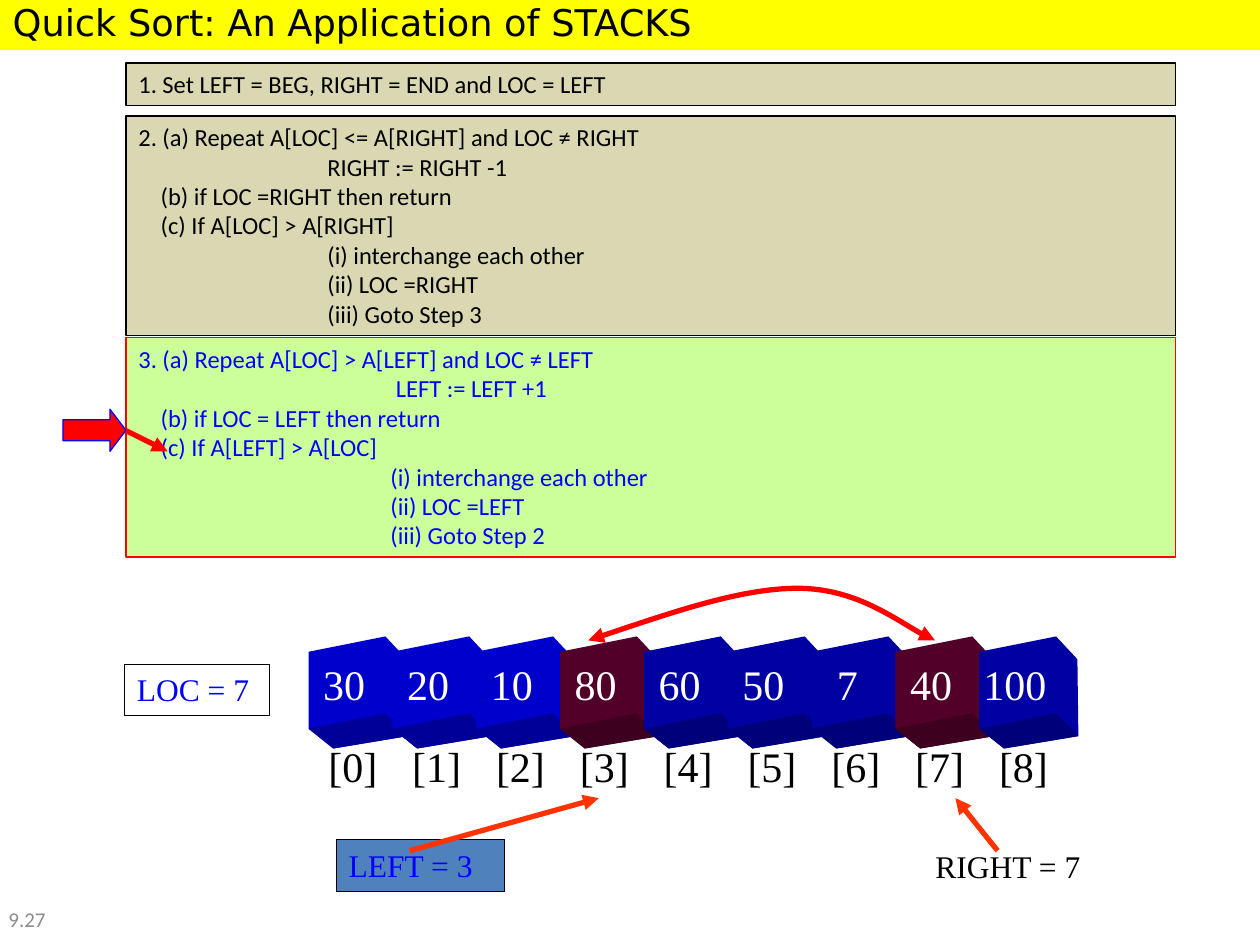
import lxml.etree
import pptx
import pptx.dml.color
import pptx.enum.shapes
import pptx.enum.text
import pptx.oxml.ns
import pptx.util

Cm = pptx.util.Cm
Pt = pptx.util.Pt
Shape = pptx.enum.shapes.MSO_SHAPE
Align = pptx.enum.text.PP_ALIGN
Anchor = pptx.enum.text.MSO_ANCHOR
qn = pptx.oxml.ns.qn

COLORS = {
    "black": "000000", "white": "FFFFFF", "gray": "8C8C8C", "yellow": "FFFF00",
    "sand": "D9D8B2", "lime": "CCFF99", "red": "FF0000", "orange": "FF3300",
    "blue": "0000FF", "steel": "4F81BD",
    "bright": "0000CC", "bright under": "000099",
    "navy": "0000A3", "navy under": "00007A",
    "maroon": "520029", "maroon under": "3D001F",
}
BODY, TITLE, SERIF = "Calibri", "DejaVu Sans", "Times New Roman"

# Step lines as (indent in cm, text)
STEP_1 = [(0, "1. Set LEFT = BEG, RIGHT = END and LOC = LEFT")]
STEP_2 = [
    (0, "2. (a) Repeat A[LOC] <= A[RIGHT] and LOC ≠ RIGHT"),
    (3.81, "RIGHT := RIGHT -1"),
    (0.45, "(b) if LOC =RIGHT then return"),
    (0.45, "(c) If A[LOC] > A[RIGHT]"),
    (3.81, "(i) interchange each other"),
    (3.81, "(ii) LOC =RIGHT"),
    (3.81, "(iii) Goto Step 3"),
]
STEP_3 = [
    (0, "3. (a) Repeat A[LOC] > A[LEFT] and LOC ≠ LEFT"),
    (5.19, "LEFT := LEFT +1"),
    (0.45, "(b) if LOC = LEFT then return"),
    (0.45, "(c) If A[LEFT] > A[LOC]"),
    (5.08, "(i) interchange each other"),
    (5.08, "(ii) LOC =LEFT"),
    (5.08, "(iii) Goto Step 2"),
]

CELLS = [("30", "bright"), ("20", "bright"), ("10", "bright"),
         ("80", "maroon"), ("60", "navy"), ("50", "navy"),
         ("7", "navy"), ("40", "maroon"), ("100", "navy")]
CELL_LEFT, CELL_TOP, CELL_PITCH = 6.14, 12.91, 1.69
CUBE = [(0.08, 0.23), (1.63, -0.08), (2.06, 0.38),
        (2.08, 1.93), (0.58, 2.18), (0.08, 1.78)]
UNDERSIDE = [(0.08, 1.78), (1.63, 1.47), (2.08, 1.93), (0.58, 2.18)]
SWAP_CURVE = [(11.86, 12.91), (13.39, 12.4), (14.94, 11.86), (16.08, 11.86),
              (17.25, 11.86), (18.39, 12.73), (18.85, 12.91)]


class SlideBuilder:
    """Draws styled elements on one slide; all lengths are in centimetres."""

    def __init__(self, slide):
        self.slide = slide

    def color(self, name):
        return pptx.dml.color.RGBColor.from_string(COLORS[name])

    def paint(self, shape, fill=None, line=None, width=0.75):
        shape.shadow.inherit = False
        if fill:
            shape.fill.solid()
            shape.fill.fore_color.rgb = self.color(fill)
        else:
            shape.fill.background()
        if line:
            shape.line.color.rgb = self.color(line)
            shape.line.width = Pt(width)
        else:
            shape.line.fill.background()

    def add_text(self, shape, lines, font, size, color, align=Align.LEFT,
                 anchor=Anchor.TOP, wrap=True, tabs=()):
        frame = shape.text_frame
        frame.word_wrap = wrap
        frame.auto_size = pptx.enum.text.MSO_AUTO_SIZE.NONE
        frame.vertical_anchor = anchor
        for number, (indent, text) in enumerate(lines):
            paragraph = frame.paragraphs[0] if number == 0 else frame.add_paragraph()
            paragraph.alignment = align
            properties = paragraph._p.get_or_add_pPr()
            if indent:
                properties.set("marL", str(Cm(indent)))
                properties.set("indent", "0")
            if tabs:
                stops = lxml.etree.SubElement(properties, qn("a:tabLst"))
                for position in tabs:
                    lxml.etree.SubElement(stops, qn("a:tab"),
                                          pos=str(Cm(position)), algn="l")
            run = paragraph.add_run()
            run.text = text
            run.font.name = font
            run.font.size = Pt(size)
            run.font.color.rgb = self.color(color)

    def title(self, text, left, top, width, height):
        shape = self.slide.shapes.title
        shape.left, shape.top = Cm(left), Cm(top)
        shape.width, shape.height = Cm(width), Cm(height)
        shape.fill.solid()
        shape.fill.fore_color.rgb = self.color("yellow")
        self.add_text(shape, [(0, text)], TITLE, 21, "black")

    def preset(self, kind, box, fill=None, line=None):
        shape = self.slide.shapes.add_shape(kind, *map(Cm, box))
        self.paint(shape, fill, line)
        return shape

    def step(self, lines, top, height, fill, line, color):
        shape = self.preset(Shape.RECTANGLE, (2.54, top, 21.16, height), fill, line)
        self.add_text(shape, lines, BODY, 14, color)

    def label(self, text, box, font=SERIF, size=18, color="black", **layout):
        shape = self.slide.shapes.add_textbox(*map(Cm, box))
        self.add_text(shape, [(0, text)], font, size, color, **layout)

    def framed_label(self, text, box, fill=None):
        shape = self.preset(Shape.RECTANGLE, box, fill, "black")
        self.add_text(shape, [(0, text)], SERIF, 18, "blue")

    def outline(self, points, left=0, top=0, close=True):
        corners = [(Cm(left + x), Cm(top + y)) for x, y in points]
        builder = self.slide.shapes.build_freeform(*corners[0])
        builder.add_line_segments(corners[1:], close=close)
        return builder.convert_to_shape()

    def cube(self, value, color, left, top):
        body = self.outline(CUBE, left, top)
        self.paint(body, color)
        self.paint(self.outline(UNDERSIDE, left, top), color + " under")
        frame = body.text_frame
        frame.margin_left = frame.margin_top = 0
        frame.margin_right, frame.margin_bottom = Cm(0.56), Cm(0.35)
        self.add_text(body, [(0, value)], SERIF, 24, "white", Align.CENTER,
                      Anchor.MIDDLE, wrap=False)

    def arrowheads(self, shape, *ends):
        line = shape.line._get_or_add_ln()
        for end in ends:
            lxml.etree.SubElement(line, qn(end), type="triangle")

    def arrow(self, start, end, color):
        connector = self.slide.shapes.add_connector(
            pptx.enum.shapes.MSO_CONNECTOR.STRAIGHT, *map(Cm, start + end))
        connector.line.color.rgb = self.color(color)
        connector.line.width = Pt(3)
        self.arrowheads(connector, "a:tailEnd")
        lxml.etree.SubElement(connector._element.spPr, qn("a:effectLst"))

    def curved_arrow(self, points, color):
        """Draw a two-headed curve; points are a start and Bezier triples."""
        shape = self.outline(points, close=False)
        outline = shape._element.find(".//" + qn("a:path"))
        segments = outline.findall(qn("a:lnTo"))
        for first in range(0, len(segments), 3):
            curve = lxml.etree.SubElement(outline, qn("a:cubicBezTo"))
            for segment in segments[first:first + 3]:
                curve.append(segment[0])
                outline.remove(segment)
        self.paint(shape, line=color, width=3)
        self.arrowheads(shape, "a:headEnd", "a:tailEnd")


def main():
    presentation = pptx.Presentation()
    presentation.slide_width, presentation.slide_height = Cm(25.4), Cm(19.05)
    builder = SlideBuilder(presentation.slides.add_slide(presentation.slide_layouts[5]))

    builder.title("Quick Sort: An Application of STACKS", 0, -0.13, 25.4, 1.14)
    builder.step(STEP_2, 2.34, 4.42, "sand", "black", "black")
    builder.step(STEP_1, 1.27, 0.86, "sand", "black", "black")
    builder.step(STEP_3, 6.81, 4.42, "lime", "red", "blue")

    pointer = builder.preset(Shape.RIGHT_ARROW, (1.27, 8.25, 1.27, 0.85), "red", "blue")
    pointer.adjustments[0], pointer.adjustments[1] = 0.5, 0.38
    builder.arrow((2.54, 8.68), (3.38, 9.1), "red")

    for index, (value, color) in enumerate(CELLS):
        builder.cube(value, color, CELL_LEFT + index * CELL_PITCH, CELL_TOP)
    indexes = "\t".join(f"[{index}]" for index in range(len(CELLS)))
    builder.label(indexes, (6.37, 14.81, 15.11, 1.27), size=24,
                  tabs=[index * CELL_PITCH for index in range(1, len(CELLS))])

    builder.framed_label("LOC = 7", (2.51, 13.39, 2.92, 1.04))
    builder.framed_label("LEFT = 3", (6.78, 16.93, 3.39, 1.04), "steel")
    builder.label("RIGHT = 7", (18.2, 16.96, 4.24, 1.02), align=Align.CENTER)
    builder.arrow((20.11, 17.15), (19.26, 16.09), "orange")
    builder.arrow((8.26, 17.15), (12.07, 16.09), "orange")
    builder.curved_arrow(SWAP_CURVE, "red")
    builder.label("9.27", (-0.08, 18.01, 2.08, 1.04), BODY, 12, "gray",
                  anchor=Anchor.MIDDLE)

    presentation.save("out.pptx")


if __name__ == "__main__":
    main()
